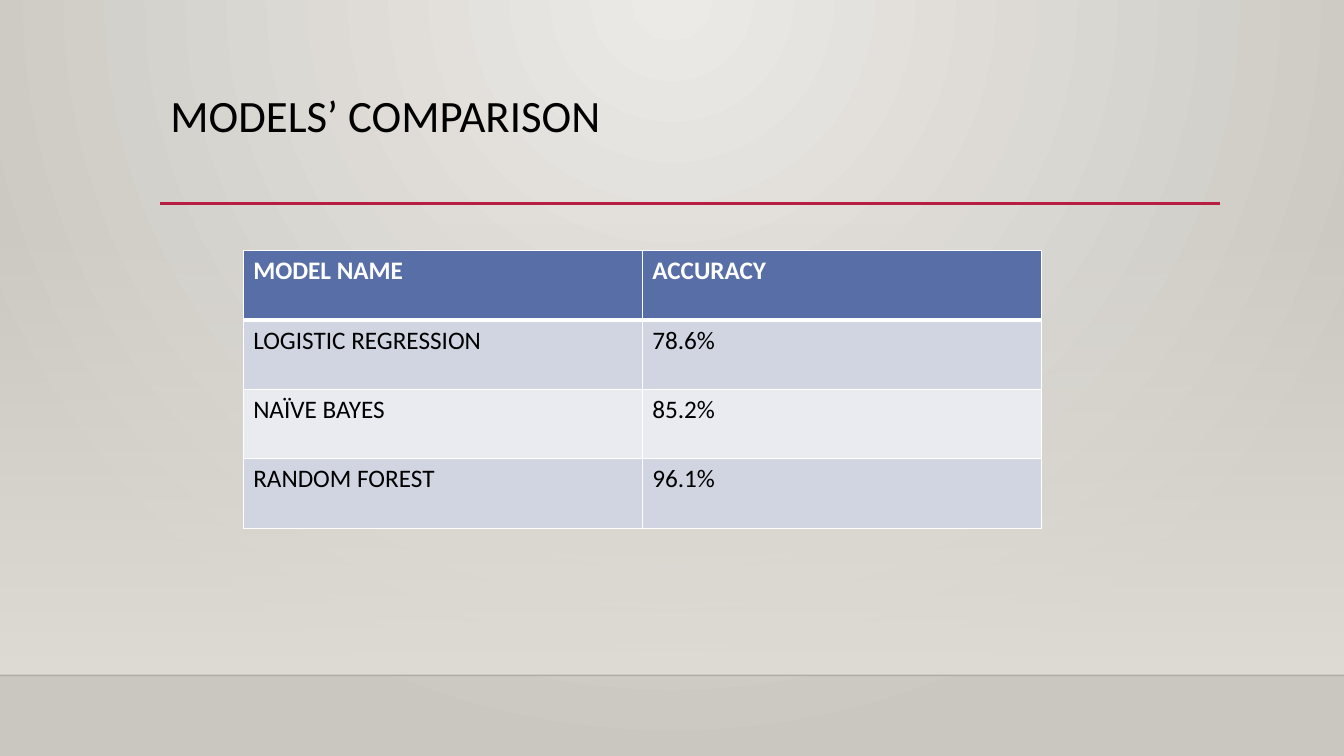
from dataclasses import dataclass

from lxml.etree import SubElement
from pptx import Presentation
from pptx.dml.color import RGBColor
from pptx.enum.shapes import MSO_CONNECTOR, MSO_SHAPE
from pptx.enum.text import MSO_ANCHOR, MSO_AUTO_SIZE, PP_ALIGN
from pptx.oxml.ns import qn
from pptx.util import Pt

COLORS = {
    "glow": "ECEAE7", "edge": "CAC7C1", "wall": "DFDBD5", "floor": "000001",
    "accent": "B71E42", "text": "000000", "white": "FFFFFF",
    "header": "586EA6", "odd": "D1D5E1", "even": "EAEBF1",
}
FONT = "Calibri"
WIDTH, HEIGHT = 960, 540
FLOOR_Y = 482.4
WALL_Y = 159.1
TITLE_LEFT, TITLE_TOP, TITLE_WIDTH, TITLE_HEIGHT = 114.5, 63.4, 756, 82.8
TABLE_LEFT, TABLE_TOP = 173.7, 179
COLUMN_WIDTH, ROW_HEIGHT = 285.1, 49.6


@dataclass
class Rule:
    """A horizontal line across the slide."""
    left: float
    right: float
    y: float
    color: str
    width: float
    opacity: int = 100


@dataclass
class Stop:
    """One gradient stop, with position and opacity in percent."""
    position: int
    color: str
    opacity: int = 100


RULES = [
    Rule(0, WIDTH, FLOOR_Y, "floor", 1, 20),
    Rule(TITLE_LEFT, 871.2, 145.4, "accent", 2.5),
]
RESULTS = [
    ("MODEL NAME", "ACCURACY"),
    ("LOGISTIC REGRESSION", "78.6%"),
    ("NAÏVE BAYES", "85.2%"),
    ("RANDOM FOREST", "96.1%"),
]


def rgb(color: str) -> RGBColor:
    """Look up a named colour."""
    return RGBColor.from_string(COLORS[color])


def add_color(parent, color: str, opacity: int = 100) -> None:
    """Append a colour element, transparent if opacity is below 100."""
    value = SubElement(parent, qn("a:srgbClr"), val=COLORS[color])
    if opacity < 100:
        SubElement(value, qn("a:alpha"), val=str(opacity * 1000))


def start_gradient(fill, owner, stops: list[Stop]):
    """Give a fill these stops and return its gradient element."""
    fill.gradient()
    gradient = next(owner.iter(qn("a:gradFill")))
    for child in list(gradient):
        gradient.remove(child)
    stop_list = SubElement(gradient, qn("a:gsLst"))
    for stop in stops:
        entry = SubElement(stop_list, qn("a:gs"), pos=str(stop.position * 1000))
        add_color(entry, stop.color, stop.opacity)
    return gradient


def paint_background(slide) -> None:
    """Paint a glow that spreads from the top centre."""
    gradient = start_gradient(slide.background.fill, slide.element,
                              [Stop(0, "glow"), Stop(100, "edge")])
    circle = SubElement(gradient, qn("a:path"), path="circle")
    SubElement(circle, qn("a:fillToRect"), l="43000", t="0", r="43000", b="100000")


def add_wall(slide) -> None:
    """Add the band that fades in down to the floor line."""
    wall = slide.shapes.add_shape(MSO_SHAPE.RECTANGLE, 0, Pt(WALL_Y),
                                  Pt(WIDTH), Pt(FLOOR_Y - WALL_Y))
    wall.shadow.inherit = False
    wall.line.fill.background()
    gradient = start_gradient(wall.fill, wall.element,
                              [Stop(0, "wall", 0), Stop(100, "wall")])
    SubElement(gradient, qn("a:lin"), ang="5400000", scaled="0")


def add_rule(slide, rule: Rule) -> None:
    """Draw one horizontal line without a shadow."""
    line = slide.shapes.add_connector(MSO_CONNECTOR.STRAIGHT, Pt(rule.left), Pt(rule.y),
                                      Pt(rule.right), Pt(rule.y))
    line.line.width = Pt(rule.width)
    line.line.color.rgb = rgb(rule.color)
    if rule.opacity < 100:
        value = next(line.element.iter(qn("a:srgbClr")))
        SubElement(value, qn("a:alpha"), val=str(rule.opacity * 1000))
    SubElement(line.element.spPr, qn("a:effectLst"))


def add_text(paragraph, text: str, size: float, color: str, bold: bool = False) -> None:
    """Add one formatted run."""
    run = paragraph.add_run()
    run.text = text
    run.font.name = FONT
    run.font.size = Pt(size)
    run.font.bold = bold
    run.font.color.rgb = rgb(color)


def set_title(slide, text: str) -> None:
    """Place and fill the title placeholder."""
    title = slide.shapes.title
    title.left, title.top = Pt(TITLE_LEFT), Pt(TITLE_TOP)
    title.width, title.height = Pt(TITLE_WIDTH), Pt(TITLE_HEIGHT)
    frame = title.text_frame
    frame.word_wrap = True
    frame.auto_size = MSO_AUTO_SIZE.NONE
    frame.vertical_anchor = MSO_ANCHOR.TOP
    paragraph = frame.paragraphs[0]
    paragraph.alignment = PP_ALIGN.LEFT
    paragraph.line_spacing = 0.9
    add_text(paragraph, text, 32, "text")


def set_borders(cell, top: float, bottom: float) -> None:
    """Draw white cell borders, one point wide at the sides."""
    properties = cell._tc.get_or_add_tcPr()
    for index, (side, width) in enumerate(
            [("L", 1), ("R", 1), ("T", top), ("B", bottom)]):
        border = SubElement(properties, qn(f"a:ln{side}"), w=str(Pt(width)))
        add_color(SubElement(border, qn("a:solidFill")), "white")
        properties.insert(index, border)


def add_results(slide) -> None:
    """Add the table of model accuracies."""
    columns = len(RESULTS[0])
    table = slide.shapes.add_table(
        len(RESULTS), columns, Pt(TABLE_LEFT), Pt(TABLE_TOP),
        Pt(columns * COLUMN_WIDTH), Pt(len(RESULTS) * ROW_HEIGHT)).table
    table.horz_banding = False
    for column in table.columns:
        column.width = Pt(COLUMN_WIDTH)
    for row_index, values in enumerate(RESULTS):
        table.rows[row_index].height = Pt(ROW_HEIGHT)
        is_header = row_index == 0
        fill = "header" if is_header else ("even", "odd")[row_index % 2]
        for column_index, value in enumerate(values):
            cell = table.cell(row_index, column_index)
            cell.fill.solid()
            cell.fill.fore_color.rgb = rgb(fill)
            set_borders(cell, 3 if row_index == 1 else 1, 3 if is_header else 1)
            add_text(cell.text_frame.paragraphs[0], value, 18,
                     "white" if is_header else "text", is_header)


def main() -> None:
    """Build and save the slide."""
    presentation = Presentation()
    presentation.slide_width, presentation.slide_height = Pt(WIDTH), Pt(HEIGHT)
    slide = presentation.slides.add_slide(presentation.slide_layouts[5])
    paint_background(slide)
    add_wall(slide)
    for rule in RULES:
        add_rule(slide, rule)
    set_title(slide, "MODELS’ COMPARISON")
    add_results(slide)
    presentation.save("out.pptx")


main()
